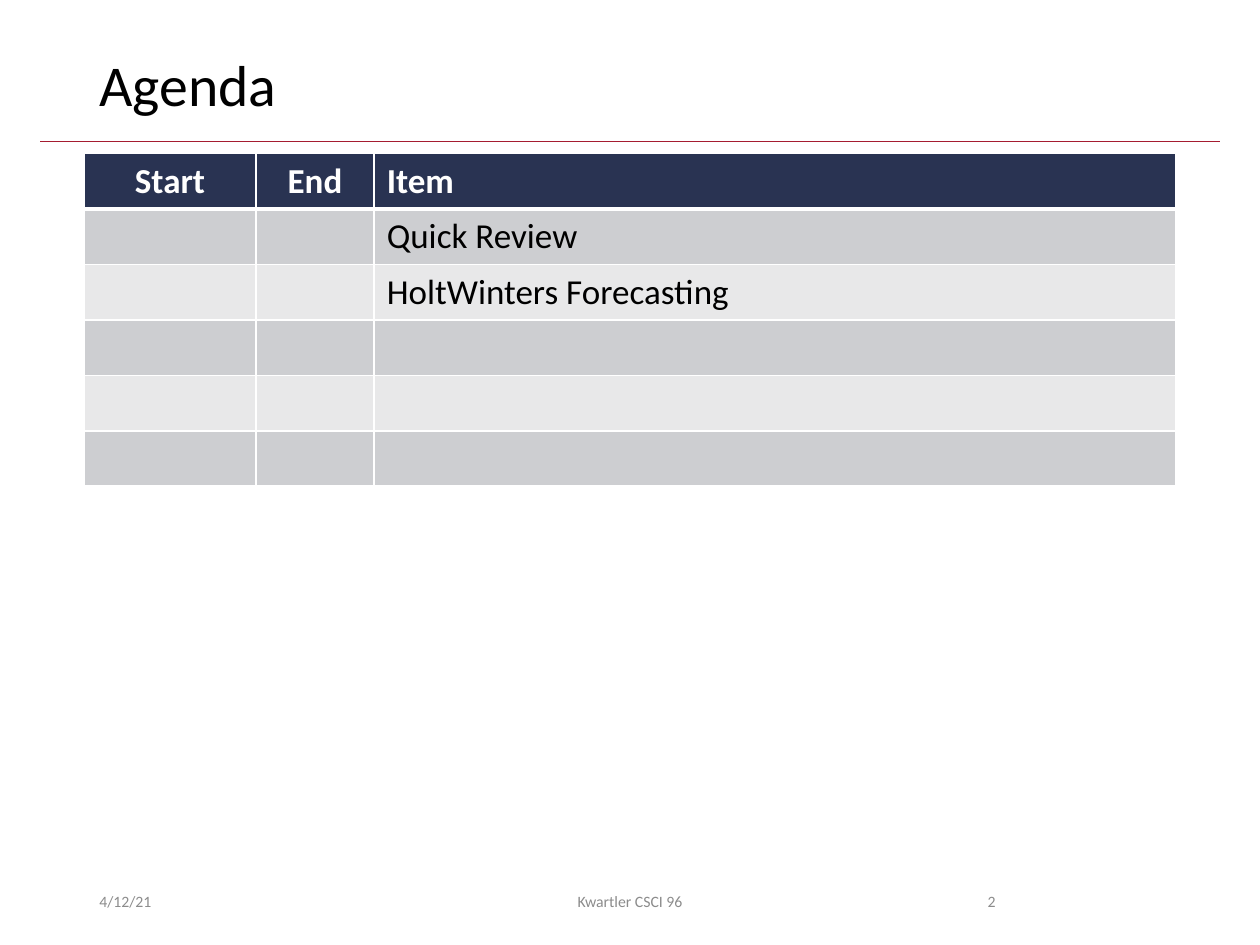
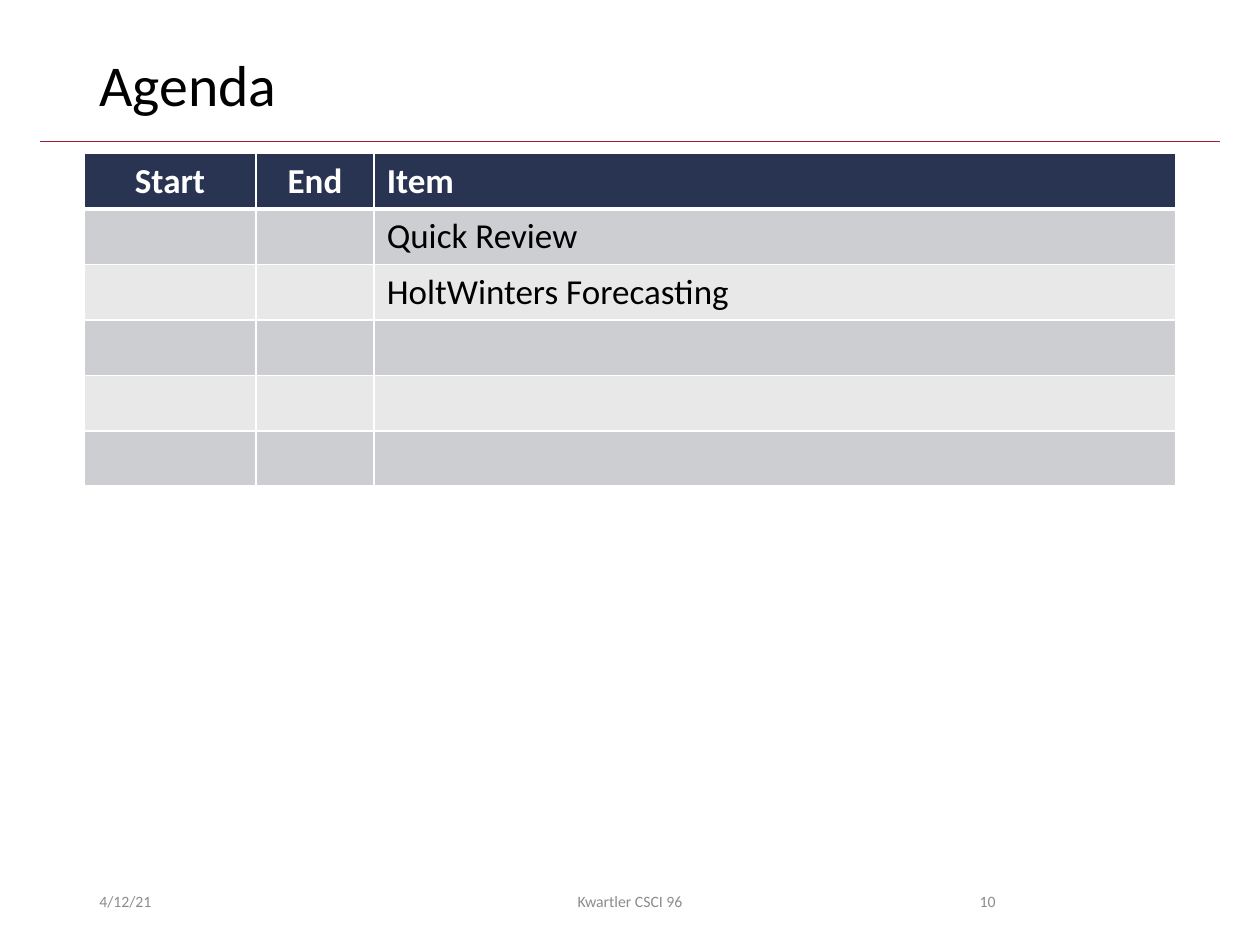
from pptx import Presentation
from pptx.dml.color import RGBColor
from pptx.enum.shapes import MSO_CONNECTOR as CONN
from pptx.enum.text import MSO_ANCHOR as ANCHOR, PP_ALIGN as ALIGN
from pptx.oxml.ns import qn
from pptx.util import Inches, Pt
from lxml.etree import SubElement

# Shared look
FONT = "Calibri"
BLACK, WHITE, GREY = "000000", "FFFFFF", "8C8C8C"
CRIMSON, NAVY = "A51C30", "293352"
BANDS = ("CDCED1", "E8E8E9")
TITLE = {"size": Pt(33)}
FOOTER = {"size": Pt(9)}
HEADER = {"size": Pt(20), "bold": True}
BODY = {"size": Pt(20), "bold": False}

# Agenda content
AGENDA = [
    ("Start", "End", "Item"),
    ("", "", "Quick Review"),
    ("", "", "HoltWinters Forecasting"),
    ("", "", ""),
    ("", "", ""),
    ("", "", ""),
]
COL_WIDTHS = (1.36, 0.94, 6.36)
COL_ALIGNS = (ALIGN.CENTER, ALIGN.CENTER, ALIGN.LEFT)
ROW_HEIGHT = 0.44
PAGE_NUMBERS = (2, 10)


def rgb(code):
    return RGBColor.from_string(code)


def write(tf, text, fmt, color, align=ALIGN.LEFT):
    p = tf.paragraphs[0]
    p.alignment = align
    if text:
        r = p.add_run()
        r.text = text
        font = r.font
    else:
        font = p.font
    for name, value in {"name": FONT, **fmt}.items():
        setattr(font, name, value)
    font.color.rgb = rgb(color)
    return p


def add_text(s, box, text, fmt, color, align=ALIGN.LEFT, anchor=ANCHOR.TOP):
    tf = s.shapes.add_textbox(*map(Inches, box)).text_frame
    tf.word_wrap = True
    tf.vertical_anchor = anchor
    return write(tf, text, fmt, color, align)


def add_title(s, text):
    add_text(s, (0.69, 0.4, 8.62, 0.65), text, TITLE, BLACK).line_spacing = 0.9


def add_rule(s):
    line = s.shapes.add_connector(
        CONN.STRAIGHT, Inches(0.32), Inches(1.12), Inches(9.68), Inches(1.12))
    line.line.color.rgb = rgb(CRIMSON)
    line.line.width = Pt(0.5)
    SubElement(line._element.spPr, qn("a:effectLst"))


def add_footer(s, number):
    parts = [
        (0.69, 2.25, "4/12/21", ALIGN.LEFT),
        (3.31, 3.38, "Kwartler CSCI 96", ALIGN.CENTER),
        (7.06, 0.94, str(number), ALIGN.RIGHT),
    ]
    for left, width, text, align in parts:
        add_text(s, (left, 6.95, width, 0.4), text, FOOTER, GREY, align,
                 ANCHOR.MIDDLE)


def set_borders(cell, color, widths):
    """Draw the cell edges; the schema wants them ahead of the fill."""
    tcPr = cell._tc.get_or_add_tcPr()
    for i, (side, width) in enumerate(widths.items()):
        ln = SubElement(tcPr, qn(f"a:ln{side}"), w=str(Pt(width)))
        fill = SubElement(ln, qn("a:solidFill"))
        SubElement(fill, qn("a:srgbClr"), val=color)
        tcPr.insert(i, ln)


def add_agenda(s, rows):
    table = s.shapes.add_table(
        len(rows), len(COL_WIDTHS), Inches(0.67), Inches(1.22),
        Inches(sum(COL_WIDTHS)), Inches(ROW_HEIGHT * len(rows))).table
    for column, width in zip(table.columns, COL_WIDTHS):
        column.width = Inches(width)
    for i, row in enumerate(rows):
        table.rows[i].height = Inches(ROW_HEIGHT)
        header = i == 0
        fill = NAVY if header else BANDS[(i - 1) % 2]
        fmt, color = (HEADER, WHITE) if header else (BODY, BLACK)
        widths = {"L": 1, "R": 1, "T": 3 if i == 1 else 1,
                  "B": 3 if header else 1}
        for j, text in enumerate(row):
            cell = table.cell(i, j)
            cell.fill.solid()
            cell.fill.fore_color.rgb = rgb(fill)
            set_borders(cell, WHITE, widths)
            write(cell.text_frame, text, fmt, color, COL_ALIGNS[j])


def main():
    prs = Presentation()
    prs.slide_width, prs.slide_height = Inches(10), Inches(7.5)
    for number in PAGE_NUMBERS:
        s = prs.slides.add_slide(prs.slide_layouts[6])
        add_rule(s)
        add_title(s, "Agenda")
        add_agenda(s, AGENDA)
        add_footer(s, number)
    prs.save("out.pptx")


if __name__ == "__main__":
    main()
